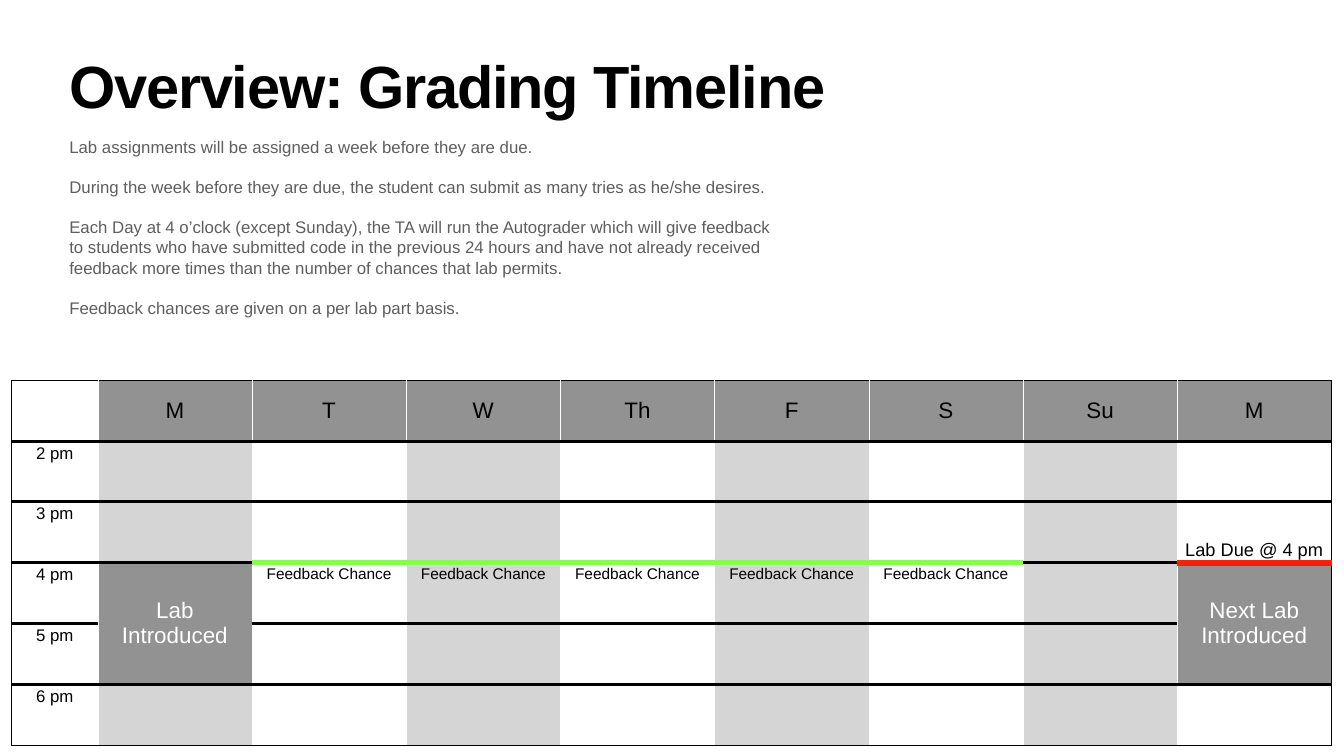
from dataclasses import dataclass

import pptx
import pptx.dml.color
import pptx.enum.text
import pptx.oxml
import pptx.oxml.ns
import pptx.util

Pt = pptx.util.Pt
Align = pptx.enum.text.PP_ALIGN
Anchor = pptx.enum.text.MSO_ANCHOR


@dataclass(frozen=True)
class Theme:
    font: str = "Arial"
    black: str = "000000"
    white: str = "FFFFFF"
    body: str = "5E5E5E"
    dark: str = "929292"
    light: str = "D5D5D5"
    green: str = "89FA4E"
    red: str = "EE230C"
    title: float = 85
    head: float = 32
    due: float = 26
    text: float = 24
    note: float = 22
    pad: float = 4


@dataclass(frozen=True)
class Line:
    color: str
    width: float


@dataclass(frozen=True)
class Entry:
    text: str = ""
    size: float = 24
    color: str = "000000"
    anchor: Anchor = Anchor.TOP
    fill: str = "FFFFFF"


THEME = Theme()
THIN = Line(THEME.black, 1)
THICK = Line(THEME.black, 5)
PALE = Line(THEME.white, 0.75)
CHANCE = Line(THEME.green, 8)
DUE = Line(THEME.red, 10)

DAYS = ["M", "T", "W", "Th", "F", "S", "Su", "M"]
HOURS = ["2 pm", "3 pm", "4 pm", "5 pm", "6 pm"]
ROWS, COLS = len(HOURS) + 1, len(DAYS) + 1
FOUR = 3                      # row of the 4 pm slot
OPEN = range(2, 7)            # days with a feedback chance
LABS = {1: "Lab Introduced", COLS - 1: "Next Lab Introduced"}
NOTES = [
    "Lab assignments will be assigned a week before they are due.",
    "During the week before they are due, the student can submit as many "
    "tries as he/she desires.",
    "Each Day at 4 o’clock (except Sunday), the TA will run the Autograder "
    "which will give feedback to students who have submitted code in the "
    "previous 24 hours and have not already received feedback more times "
    "than the number of chances that lab permits.",
    "Feedback chances are given on a per lab part basis.",
]


def set_pad(frame) -> None:
    frame.margin_left = frame.margin_right = Pt(THEME.pad)
    frame.margin_top = frame.margin_bottom = Pt(THEME.pad)


def add_run(para, text: str, size: float, color: str, bold: bool = False):
    run = para.add_run()
    run.text = text
    run.font.name = THEME.font
    run.font.size = Pt(size)
    run.font.bold = bold
    run.font.color.rgb = pptx.dml.color.RGBColor.from_string(color)
    return run


def add_edge(cell, side: str, line: Line) -> None:
    edge = pptx.oxml.parse_xml(
        f'<a:ln{side} {pptx.oxml.ns.nsdecls("a")} w="{Pt(line.width)}" '
        f'cap="flat" cmpd="sng"><a:solidFill><a:srgbClr val="{line.color}"/>'
        f'</a:solidFill><a:prstDash val="solid"/></a:ln{side}>')
    cell._tc.get_or_add_tcPr().append(edge)


def row_line(row: int, col: int) -> Line:
    """Line above the given row; row ROWS is the foot of the table."""
    if row in (0, ROWS):
        return THIN
    if row == FOUR and col in OPEN:
        return CHANCE
    if row == FOUR and col == COLS - 1:
        return DUE
    return THICK


def get_entry(row: int, col: int) -> Entry:
    if row == 0 and col > 0:
        return Entry(DAYS[col - 1], THEME.head, anchor=Anchor.MIDDLE,
                     fill=THEME.dark)
    if col == 0:
        return Entry(HOURS[row - 1] if row else "")
    if row == FOUR and col in LABS:
        return Entry(LABS[col], THEME.head, THEME.white, Anchor.MIDDLE,
                     THEME.dark)
    if row == FOUR - 1 and col == COLS - 1:
        return Entry("Lab Due @ 4 pm", THEME.due, anchor=Anchor.BOTTOM)
    text = "Feedback Chance" if row == FOUR and col in OPEN else ""
    return Entry(text, THEME.note,
                 fill=THEME.light if col % 2 else THEME.white)


def draw_cell(cell, row: int, col: int) -> None:
    entry = get_entry(row, col)
    add_edge(cell, "L", PALE if col else THIN)
    add_edge(cell, "R", PALE if col < COLS - 1 else THIN)
    add_edge(cell, "T", row_line(row, col))
    add_edge(cell, "B", row_line(row + 1, col))
    cell.fill.solid()
    cell.fill.fore_color.rgb = pptx.dml.color.RGBColor.from_string(entry.fill)
    set_pad(cell)
    cell.vertical_anchor = entry.anchor
    if entry.text:
        para = cell.text_frame.paragraphs[0]
        para.alignment = Align.CENTER
        add_run(para, entry.text, entry.size, entry.color)


def draw_week(slide) -> None:
    table = slide.shapes.add_table(ROWS, COLS, Pt(16.6), Pt(543.6),
                                   Pt(1885.5), Pt(520.5)).table
    table.first_row = table.horz_banding = False
    for col, column in enumerate(table.columns):
        column.width = Pt(220.3 if col else 123.1)
    for row in table.rows:
        row.height = Pt(86.75)
    for col in LABS:
        table.cell(FOUR, col).merge(table.cell(FOUR + 1, col))
    for row in range(ROWS):
        for col in range(COLS):
            cell = table.cell(row, col)
            if not cell.is_spanned:
                draw_cell(cell, row, col)


def draw_title(slide) -> None:
    title = slide.shapes.title
    title.left, title.top = Pt(95), Pt(85)
    title.width, title.height = Pt(1170.7), Pt(113)
    frame = title.text_frame
    set_pad(frame)
    frame.word_wrap = True
    frame.auto_size = pptx.enum.text.MSO_AUTO_SIZE.NONE
    frame.vertical_anchor = Anchor.TOP
    para = frame.paragraphs[0]
    para.alignment = Align.LEFT
    para.line_spacing = 0.8
    run = add_run(para, "Overview: Grading Timeline", THEME.title,
                  THEME.black, True)
    run.font._element.set("spc", "-170")


def draw_notes(slide) -> None:
    frame = slide.shapes.add_textbox(Pt(95), Pt(190.8), Pt(1014.5),
                                     Pt(324.7)).text_frame
    set_pad(frame)
    frame.word_wrap = True
    for num, note in enumerate(NOTES):
        para = frame.add_paragraph() if num else frame.paragraphs[0]
        para.space_before = Pt(28.8 if num else 0)
        add_run(para, note, THEME.text, THEME.body)


def main() -> None:
    deck = pptx.Presentation()
    deck.slide_width, deck.slide_height = Pt(1920), Pt(1080)
    slide = deck.slides.add_slide(deck.slide_layouts[5])
    draw_week(slide)
    draw_title(slide)
    draw_notes(slide)
    deck.save("out.pptx")


if __name__ == "__main__":
    main()
